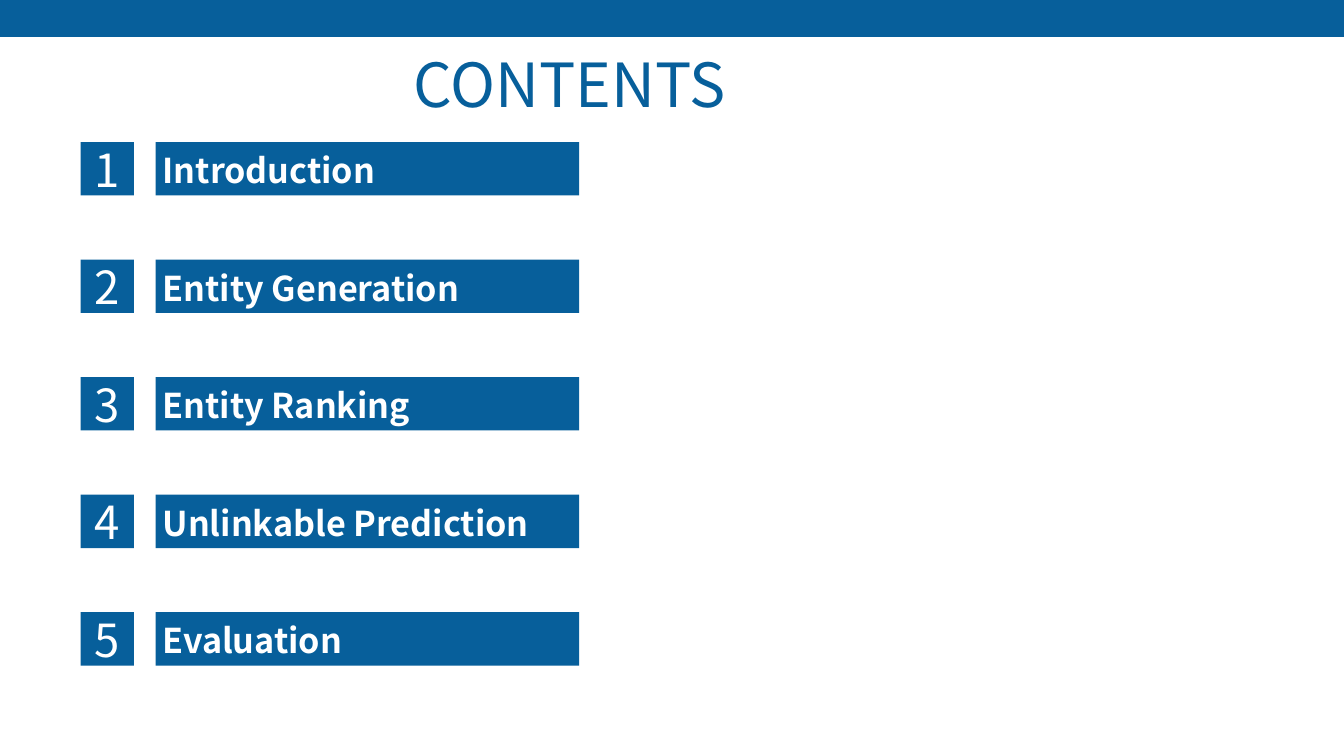
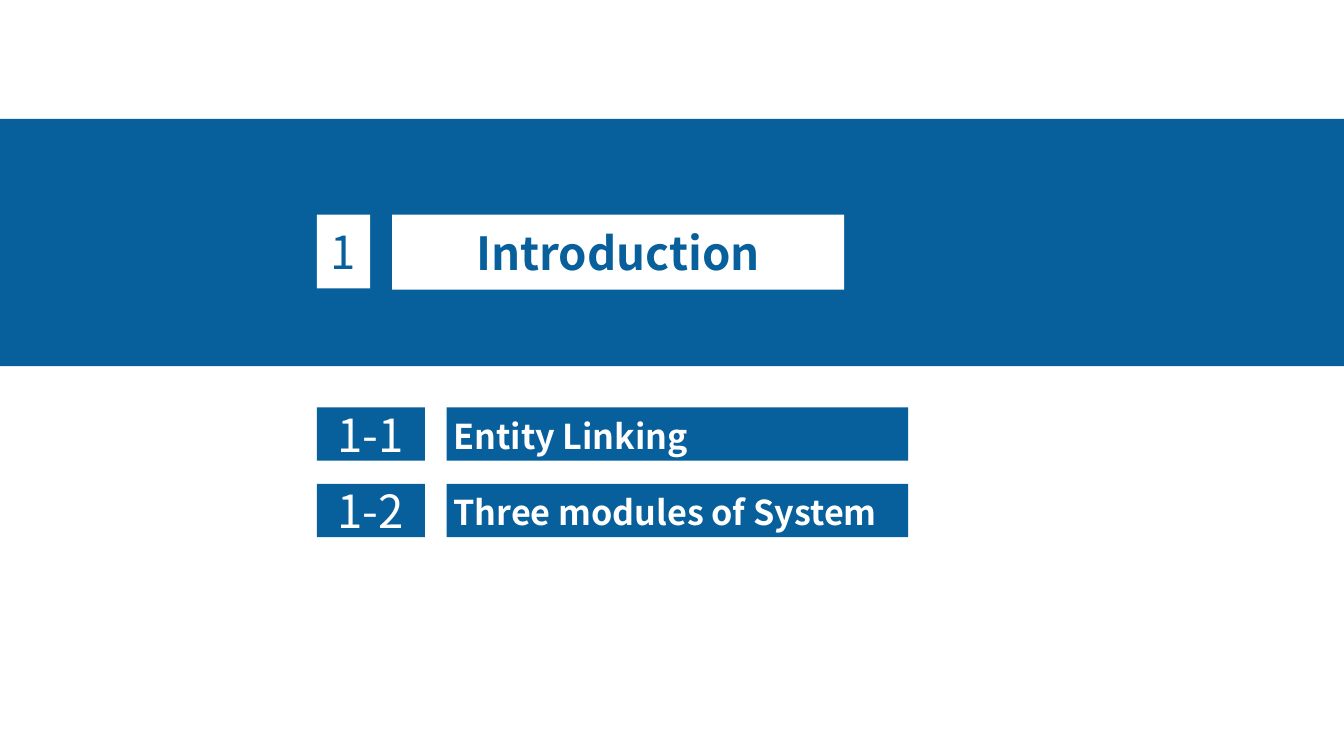
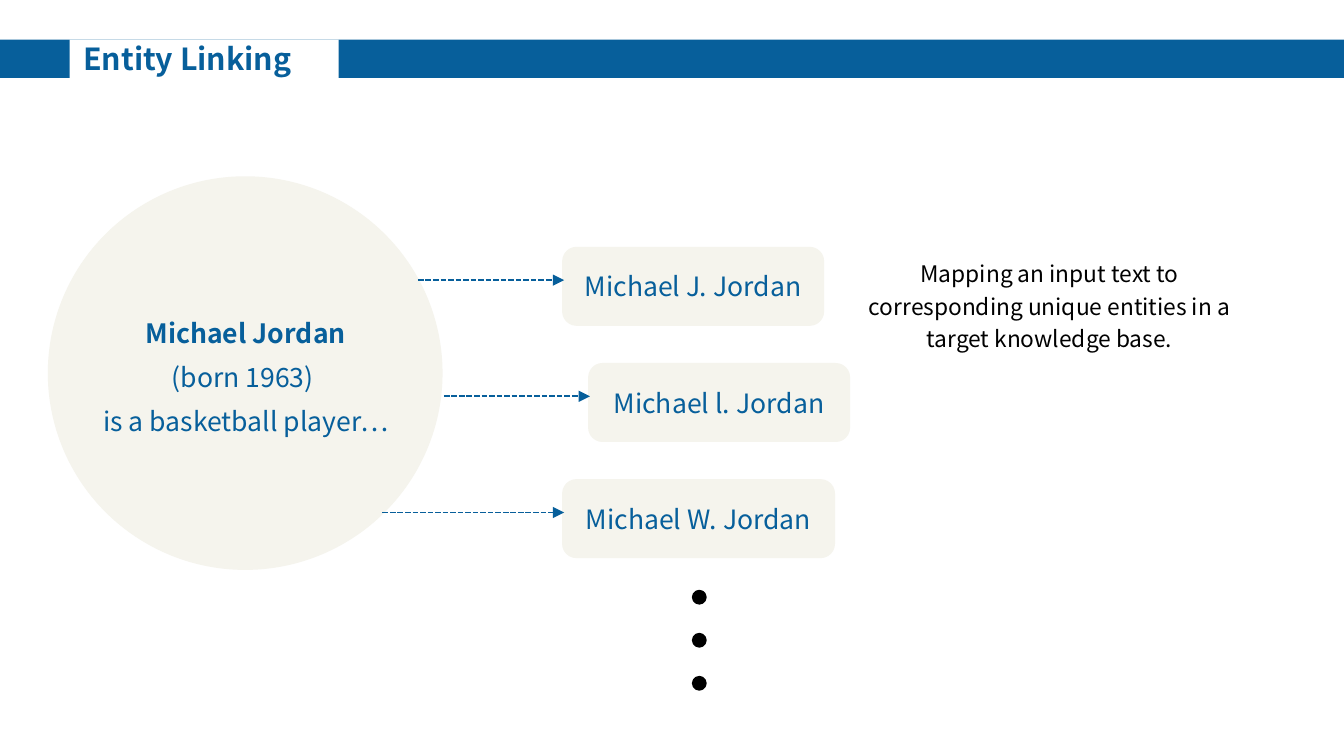
from dataclasses import dataclass
from typing import Any, Optional

from lxml.etree import SubElement
from pptx import Presentation
from pptx.dml.color import RGBColor
from pptx.enum.dml import MSO_LINE
from pptx.enum.shapes import MSO_CONNECTOR, MSO_SHAPE
from pptx.enum.text import MSO_ANCHOR, MSO_AUTO_SIZE, PP_ALIGN
from pptx.oxml.ns import qn
from pptx.util import Inches, Pt


@dataclass(frozen=True)
class Theme:
    blue: RGBColor = RGBColor(0x07, 0x5F, 0x9B)
    white: RGBColor = RGBColor(0xFF, 0xFF, 0xFF)
    cream: RGBColor = RGBColor(0xF5, 0xF4, 0xED)
    black: RGBColor = RGBColor(0, 0, 0)
    font: str = "Noto Sans CJK SC"
    heading: int = 32
    section: int = 24
    entry: int = 18
    slide_title: int = 16
    label: int = 14
    note: int = 12
    entry_line: int = 22


THEME = Theme()
SLIDE_WIDTH, SLIDE_HEIGHT = 9.84, 5.51


@dataclass(frozen=True)
class Box:
    left: float
    top: float
    width: float
    height: float


@dataclass(frozen=True)
class TextStyle:
    size: int
    color: RGBColor
    bold: bool = False
    align: PP_ALIGN = PP_ALIGN.CENTER
    anchor: MSO_ANCHOR = MSO_ANCHOR.MIDDLE
    inset_x: float = 0.0
    inset_y: float = 0.0
    line_spacing: Any = 1.0
    space_before: float = 0.0
    space_after: float = 0.0


@dataclass(frozen=True)
class NumberedList:
    """Rows of a number tag and a bar, with the entries as one list."""
    numbers: list[str]
    entries: list[str]
    left: float
    top: float
    pitch: float
    tag_width: float
    bar_width: float
    row_height: float = 0.39
    gap: float = 0.16


@dataclass(frozen=True)
class Candidate:
    name: str
    left: float
    width: float
    arrow_start: float


TAG = TextStyle(THEME.section, THEME.white)


# Shared helpers
def apply_format(target: Any, values: dict[str, Any]) -> None:
    for name, value in values.items():
        setattr(target, name, value)


def place(shape: Any, box: Box) -> None:
    apply_format(shape, {
        "left": Inches(box.left), "top": Inches(box.top),
        "width": Inches(box.width), "height": Inches(box.height),
    })


def write(shape: Any, lines: list[str], style: TextStyle, bold_lines: int = 0) -> None:
    frame = shape.text_frame
    apply_format(frame, {
        "word_wrap": True, "auto_size": MSO_AUTO_SIZE.NONE,
        "vertical_anchor": style.anchor,
        "margin_left": Inches(style.inset_x), "margin_right": Inches(style.inset_x),
        "margin_top": Inches(style.inset_y), "margin_bottom": Inches(style.inset_y),
    })
    for index, line in enumerate(lines):
        paragraph = frame.paragraphs[0] if index == 0 else frame.add_paragraph()
        apply_format(paragraph, {
            "alignment": style.align, "line_spacing": style.line_spacing,
            "space_before": Pt(style.space_before if index else 0),
            "space_after": Pt(style.space_after),
        })
        run = paragraph.add_run()
        run.text = line
        apply_format(run.font, {
            "name": THEME.font, "size": Pt(style.size),
            "bold": style.bold or index < bold_lines,
        })
        run.font.color.rgb = style.color


def fill_placeholder(placeholder: Any, box: Box, lines: list[str], style: TextStyle,
                     fill: Optional[RGBColor] = None) -> None:
    """Move a placeholder in front of the shapes and write plain lines in it."""
    place(placeholder, box)
    if fill is not None:
        placeholder.fill.solid()
        placeholder.fill.fore_color.rgb = fill
    write(placeholder, lines, style)
    for paragraph in placeholder.text_frame.paragraphs:
        properties = paragraph._p.get_or_add_pPr()
        properties.set("marL", "0")
        properties.set("indent", "0")
        SubElement(properties, qn("a:buNone"))
    element = placeholder.element
    element.getparent().append(element)


def add_block(slide: Any, box: Box, fill: RGBColor, kind: MSO_SHAPE = MSO_SHAPE.RECTANGLE,
              outline: Optional[float] = None) -> Any:
    block = slide.shapes.add_shape(kind, 0, 0, 0, 0)
    place(block, box)
    block.shadow.inherit = False
    block.fill.solid()
    block.fill.fore_color.rgb = fill
    if outline is None:
        block.line.fill.background()
    else:
        block.line.color.rgb = fill
        block.line.width = Pt(outline)
    return block


def add_band(slide: Any, top: float, height: float) -> None:
    add_block(slide, Box(0, top, SLIDE_WIDTH, height), THEME.blue)


def add_arrow(slide: Any, start: float, end: float, y: float) -> None:
    arrow = slide.shapes.add_connector(
        MSO_CONNECTOR.STRAIGHT, Inches(start), Inches(y), Inches(end), Inches(y))
    arrow.line.color.rgb = THEME.blue
    apply_format(arrow.line, {"width": Pt(1), "dash_style": MSO_LINE.SQUARE_DOT})
    SubElement(arrow.line._get_or_add_ln(), qn("a:tailEnd"), type="triangle")
    SubElement(arrow.element.spPr, qn("a:effectLst"))


def add_numbered_list(slide: Any, rows: NumberedList) -> None:
    bar_left = rows.left + rows.tag_width + rows.gap
    for index, number in enumerate(rows.numbers):
        top = rows.top + index * rows.pitch
        tag = add_block(slide, Box(rows.left, top, rows.tag_width, rows.row_height), THEME.blue)
        write(tag, [number], TAG)
        add_block(slide, Box(bar_left, top, rows.bar_width, rows.row_height), THEME.blue)
    entry_style = TextStyle(
        THEME.entry, THEME.white, bold=True, align=PP_ALIGN.LEFT, anchor=MSO_ANCHOR.TOP,
        inset_x=0.1, inset_y=0.05, line_spacing=Pt(THEME.entry_line),
        space_before=rows.pitch * 72 - THEME.entry_line)
    list_height = (len(rows.entries) - 1) * rows.pitch + rows.row_height
    fill_placeholder(slide.placeholders[1],
                     Box(bar_left - 0.05, rows.top, rows.bar_width + 0.05, list_height),
                     rows.entries, entry_style)


# Slides
def build_contents(slide: Any) -> None:
    add_band(slide, 0, 0.27)
    heading = TextStyle(THEME.heading, THEME.blue, align=PP_ALIGN.LEFT,
                        anchor=MSO_ANCHOR.TOP, inset_x=0.1, inset_y=0.05)
    fill_placeholder(slide.shapes.title, Box(2.93, 0.29, 2.61, 0.64), ["CONTENTS"], heading)
    entries = ["Introduction", "Entity Generation", "Entity Ranking",
               "Unlinkable Prediction", "Evaluation"]
    numbers = [str(number) for number in range(1, len(entries) + 1)]
    add_numbered_list(slide, NumberedList(numbers, entries, left=0.59, top=1.04, pitch=0.86,
                                          tag_width=0.39, bar_width=3.1))


def build_section(slide: Any) -> None:
    add_band(slide, 0.87, 1.81)
    section_number = add_block(slide, Box(2.32, 1.57, 0.39, 0.54), THEME.white)
    write(section_number, ["1"], TextStyle(THEME.section, THEME.blue))
    fill_placeholder(slide.shapes.title, Box(2.87, 1.57, 3.31, 0.55), ["Introduction"],
                     TextStyle(THEME.section, THEME.blue, bold=True), THEME.white)
    add_numbered_list(slide, NumberedList(
        ["1-1", "1-2"], ["Entity Linking", "Three modules of System"],
        left=2.32, top=2.98, pitch=0.56, tag_width=0.79, bar_width=3.38))


def build_entity_linking(slide: Any) -> None:
    add_band(slide, 0.29, 0.28)
    fill_placeholder(slide.shapes.title, Box(0.51, 0.29, 1.97, 0.28), ["Entity Linking"],
                     TextStyle(THEME.slide_title, THEME.blue, bold=True,
                               align=PP_ALIGN.LEFT, inset_x=0.1), THEME.white)

    # Input text
    add_block(slide, Box(0.35, 1.29, 2.89, 2.88), THEME.cream, MSO_SHAPE.OVAL)
    mention = slide.shapes.add_textbox(0, 0, 0, 0)
    place(mention, Box(0.58, 2.26, 2.44, 0.95))
    spacing = {"line_spacing": 1.2, "space_before": 1.5, "space_after": 1.5}
    write(mention, ["Michael Jordan", "(born 1963) ", "is a basketball player…"],
          TextStyle(THEME.label, THEME.blue, inset_x=0.07, inset_y=0.04, **spacing),
          bold_lines=1)

    # Candidate entities
    candidates = [
        Candidate("Michael J. Jordan", 4.13, 1.89, 3.06),
        Candidate("Michael l. Jordan", 4.32, 1.89, 3.25),
        Candidate("Michael W. Jordan", 4.13, 1.97, 2.8),
    ]
    for index, candidate in enumerate(candidates):
        top = 1.82 + index * 0.85
        label = add_block(slide, Box(candidate.left, top, candidate.width, 0.55),
                          THEME.cream, MSO_SHAPE.ROUNDED_RECTANGLE, outline=2)
        write(label, [candidate.name], TextStyle(THEME.label, THEME.blue))
        add_arrow(slide, candidate.arrow_start, candidate.left, top + 0.23)
    for index in range(3):
        add_block(slide, Box(5.08, 4.33 + index * 0.315, 0.08, 0.08),
                  THEME.black, MSO_SHAPE.OVAL, outline=2)

    # Definition
    fill_placeholder(
        slide.placeholders[1], Box(6.19, 1.82, 2.99, 0.78),
        ["Mapping an input text to corresponding unique entities in a target knowledge base."],
        TextStyle(THEME.note, THEME.black, anchor=MSO_ANCHOR.TOP,
                  inset_x=0.07, inset_y=0.04, **spacing))


def main() -> None:
    deck = Presentation()
    apply_format(deck, {"slide_width": Inches(SLIDE_WIDTH),
                        "slide_height": Inches(SLIDE_HEIGHT)})
    title_and_content = deck.slide_layouts[1]
    for build in (build_contents, build_section, build_entity_linking):
        build(deck.slides.add_slide(title_and_content))
    deck.save("out.pptx")


if __name__ == "__main__":
    main()
